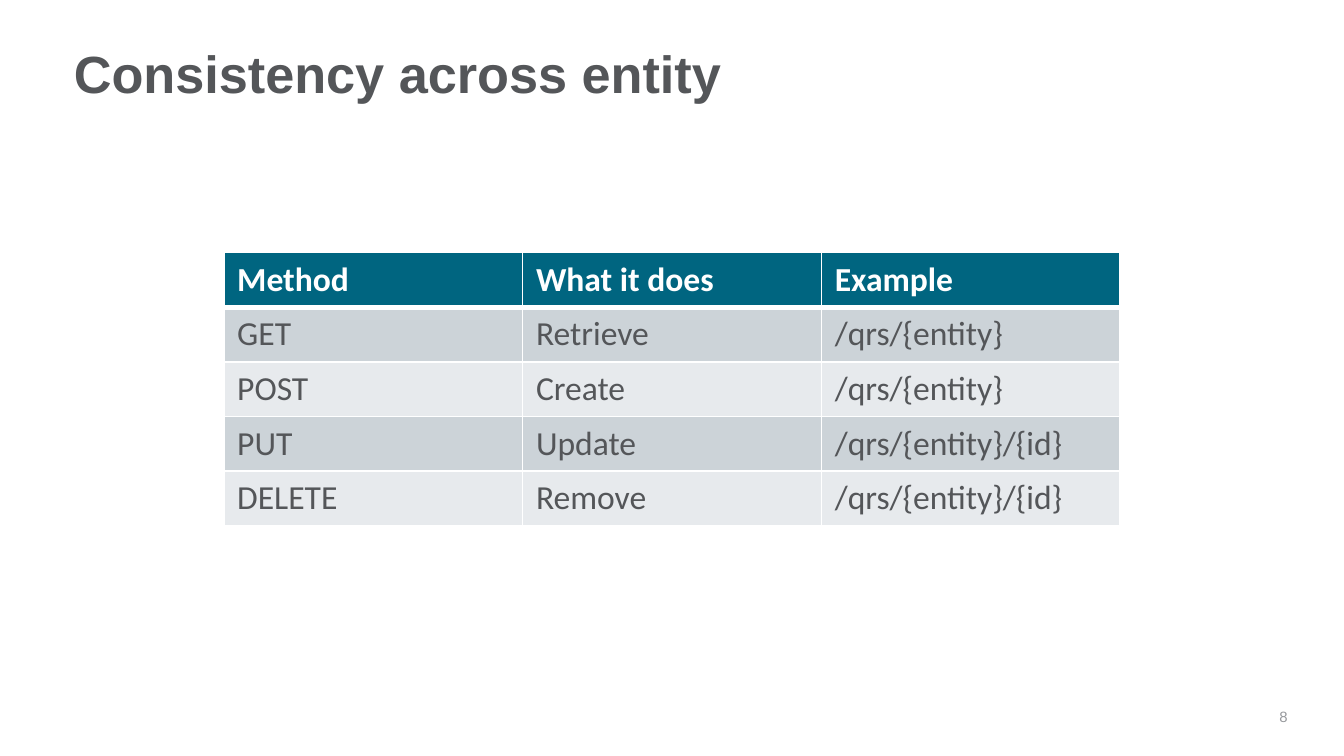
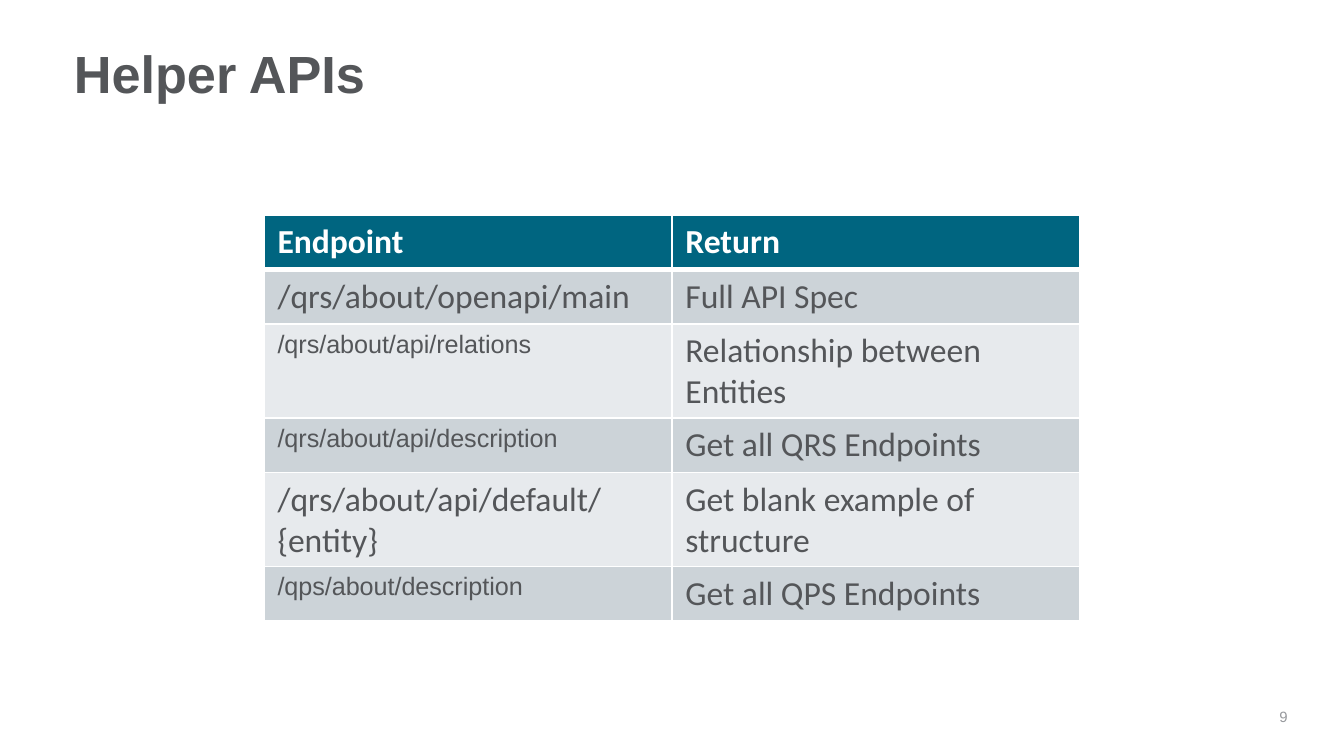
from lxml.etree import fromstring
from pptx import Presentation
from pptx.dml.color import RGBColor
from pptx.enum.text import MSO_ANCHOR, PP_ALIGN
from pptx.oxml.ns import nsdecls
from pptx.util import Inches, Pt

WIDE = 10
HIGH = WIDE * 9 / 16
COLORS = {
    "white": "FFFFFF",
    "text": "545659",
    "head": "006580",
    "dark": "CCD3D8",
    "light": "E7EAED",
    "page": "97999D",
}
TITLE = (0.55, 0.29, 8.87, 0.56)
PAGE = (9.39, 5.2, 0.19, 0.26)

METHODS = [
    ("Method", "What it does", "Example"),
    ("GET", "Retrieve", "/qrs/{entity}"),
    ("POST", "Create", "/qrs/{entity}"),
    ("PUT", "Update", "/qrs/{entity}/{id}"),
    ("DELETE", "Remove", "/qrs/{entity}/{id}"),
]
HELPERS = [
    ("Endpoint", "Return"),
    ("/qrs/about/openapi/main", "Full API Spec"),
    ("/qrs/about/api/relations", "Relationship between Entities"),
    ("/qrs/about/api/description", "Get all QRS Endpoints"),
    ("/qrs/about/api/default/{entity}", "Get blank example of structure"),
    ("/qps/about/description", "Get all QPS Endpoints"),
]
SMALL = {HELPERS[row][0] for row in (2, 3, 5)}


def color(name):
    return RGBColor.from_string(COLORS[name])


def style(para, size, name, hue, bold=False):
    font = para.font
    font.size, font.name, font.bold = Pt(size), name, bold
    font.color.rgb = color(hue)


def fill_box(shape, box, text):
    """Place a text shape and return its paragraph."""
    shape.left, shape.top, shape.width, shape.height = map(Inches, box)
    frame = shape.text_frame
    frame.word_wrap = True
    frame.margin_left = frame.margin_right = 0
    frame.margin_top = frame.margin_bottom = Inches(0.05)
    frame.vertical_anchor = MSO_ANCHOR.MIDDLE
    frame.text = text
    return frame.paragraphs[0]


def add_page(prs, title, number):
    slide = prs.slides.add_slide(prs.slide_layouts[5])
    para = fill_box(slide.shapes.title, TITLE, title)
    para.alignment = PP_ALIGN.LEFT
    para.line_spacing = 0.9
    style(para, 28, "Arial", "text", True)
    para = fill_box(slide.shapes.add_textbox(0, 0, 0, 0), PAGE, str(number))
    para.alignment = PP_ALIGN.RIGHT
    style(para, 8, "Arial", "page")
    return slide


def set_edges(cell, row):
    """Draw white cell borders, thick between the header and the body."""
    props = cell._tc.get_or_add_tcPr()
    thick = {"T": row == 1, "B": row == 0}
    for spot, side in enumerate("LRTB"):
        width = Pt(3 if thick.get(side) else 1)
        props.insert(spot, fromstring(
            f'<a:ln{side} {nsdecls("a")} w="{width}"><a:solidFill>'
            f'<a:srgbClr val="{COLORS["white"]}"/></a:solidFill></a:ln{side}>'))


def add_grid(slide, rows, top, width, height):
    """Add a table centred across the slide."""
    box = map(Inches, ((WIDE - width) / 2, top, width, height))
    table = slide.shapes.add_table(len(rows), len(rows[0]), *box).table
    for r, texts in enumerate(rows):
        head = r == 0
        back = "head" if head else "dark" if r % 2 else "light"
        for c, text in enumerate(texts):
            cell = table.cell(r, c)
            cell.text = text
            cell.fill.solid()
            cell.fill.fore_color.rgb = color(back)
            set_edges(cell, r)
            size, name = (13.5, "Arial") if text in SMALL else (18, "Calibri")
            style(cell.text_frame.paragraphs[0], size, name,
                  "white" if head else "text", head)


def main():
    prs = Presentation()
    prs.slide_width, prs.slide_height = Inches(WIDE), Inches(HIGH)
    slide = add_page(prs, "Consistency across entity", 8)
    add_grid(slide, METHODS, 1.88, 6.67, 2.03)
    slide = add_page(prs, "Helper APIs", 9)
    add_grid(slide, HELPERS, 1.6, 6.07, 2.43)
    prs.save("out.pptx")


if __name__ == "__main__":
    main()
